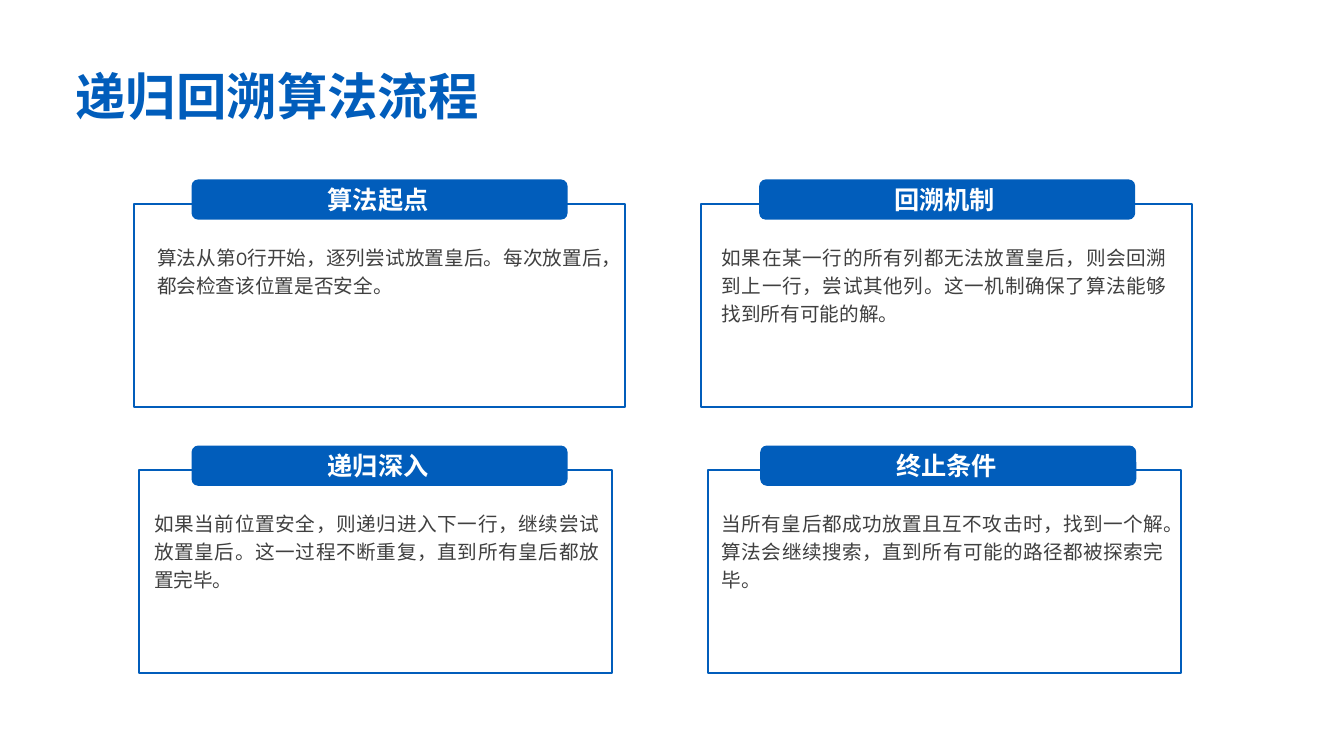
from pptx import Presentation
from pptx.dml.color import RGBColor
from pptx.enum.shapes import MSO_SHAPE
from pptx.enum.text import MSO_AUTO_SIZE, PP_ALIGN
from pptx.util import Pt

# Content: heading, body, then left and width of each part in px
TITLE = "递归回溯算法流程"
CARDS = [
    [  # top row
        dict(head="算法起点", body="算法从第0行开始，逐列尝试放置皇后。每次放置后，都会检查该位置是否安全。",
             panel=(133, 487), tag=190, label=199, text=(146, 461)),
        dict(head="回溯机制", body="如果在某一行的所有列都无法放置皇后，则会回溯到上一行，尝试其他列。这一机制确保了算法能够找到所有可能的解。",
             panel=(695, 487), tag=753, label=761, text=(706, 461)),
    ],
    [  # bottom row
        dict(head="递归深入", body="如果当前位置安全，则递归进入下一行，继续尝试放置皇后。这一过程不断重复，直到所有皇后都放置完毕。",
             panel=(138, 469), tag=190, label=199, text=(143, 461)),
        dict(head="终止条件", body="当所有皇后都成功放置且互不攻击时，找到一个解。算法会继续搜索，直到所有可能的路径都被探索完毕。",
             panel=(702, 469), tag=754, label=763, text=(706, 458)),
    ],
]

# Style
FONT = "Karla"
BLUE = RGBColor(0x01, 0x5D, 0xBB)
WHITE = RGBColor(0xFF, 0xFF, 0xFF)
GREY = RGBColor(0x40, 0x40, 0x40)
ROUND = MSO_SHAPE.ROUNDED_RECTANGLE
GROW = MSO_AUTO_SIZE.SHAPE_TO_FIT_TEXT
LEFT, CENTER, JUSTIFY = PP_ALIGN.LEFT, PP_ALIGN.CENTER, PP_ALIGN.JUSTIFY

# Layout: 100 px to the inch
SCALE = 9144
TOP, STEP = 178, 264
TAG_W, TAG_H, LABEL_W = 373, 40, 352
PANEL_DY, PANEL_H = 24, 202
BODY_DY, BODY_H = 56, 151


def emu(*sizes):
    return [size * SCALE for size in sizes]


def add_box(slide, box, fill, corner=None, line=None):
    shape = slide.shapes.add_shape(ROUND, *emu(*box))
    shape.shadow.inherit = False
    shape.fill.solid()
    shape.fill.fore_color.rgb = fill
    if corner is not None:
        shape.adjustments[0] = corner
    if line is None:
        shape.line.fill.background()
    else:
        shape.line.color.rgb = line
        shape.line.width = Pt(1.5)


def add_text(slide, box, text, size, color, align, bold=False, space=None):
    frame = slide.shapes.add_textbox(*emu(*box)).text_frame
    frame.word_wrap = True
    frame.auto_size = GROW
    para = frame.paragraphs[0]
    para.text = text
    para.alignment = align
    para.line_spacing = space
    font = para.font
    font.name, font.size, font.bold = FONT, Pt(size), bold
    font.color.rgb = color


def add_card(slide, card, top):
    left, width = card["panel"]
    add_box(slide, (left, top + PANEL_DY, width, PANEL_H), WHITE, 0, BLUE)
    add_box(slide, (card["tag"], top, TAG_W, TAG_H), BLUE)
    add_text(slide, (card["label"], top, LABEL_W, TAG_H),
             card["head"], 18, WHITE, CENTER, bold=True)
    left, width = card["text"]
    add_text(slide, (left, top + BODY_DY, width, BODY_H),
             card["body"], 14, GREY, JUSTIFY, space=1.2)


def main():
    deck = Presentation()
    deck.slide_width, deck.slide_height = emu(1333, 750)
    slide = deck.slides.add_slide(deck.slide_layouts[6])

    # Title
    add_text(slide, (65, 60, 766, 71), TITLE, 36, BLUE, LEFT, bold=True)

    # Cards, row by row
    for row, cards in enumerate(CARDS):
        for card in cards:
            add_card(slide, card, TOP + row * STEP)

    deck.save("out.pptx")


if __name__ == "__main__":
    main()
